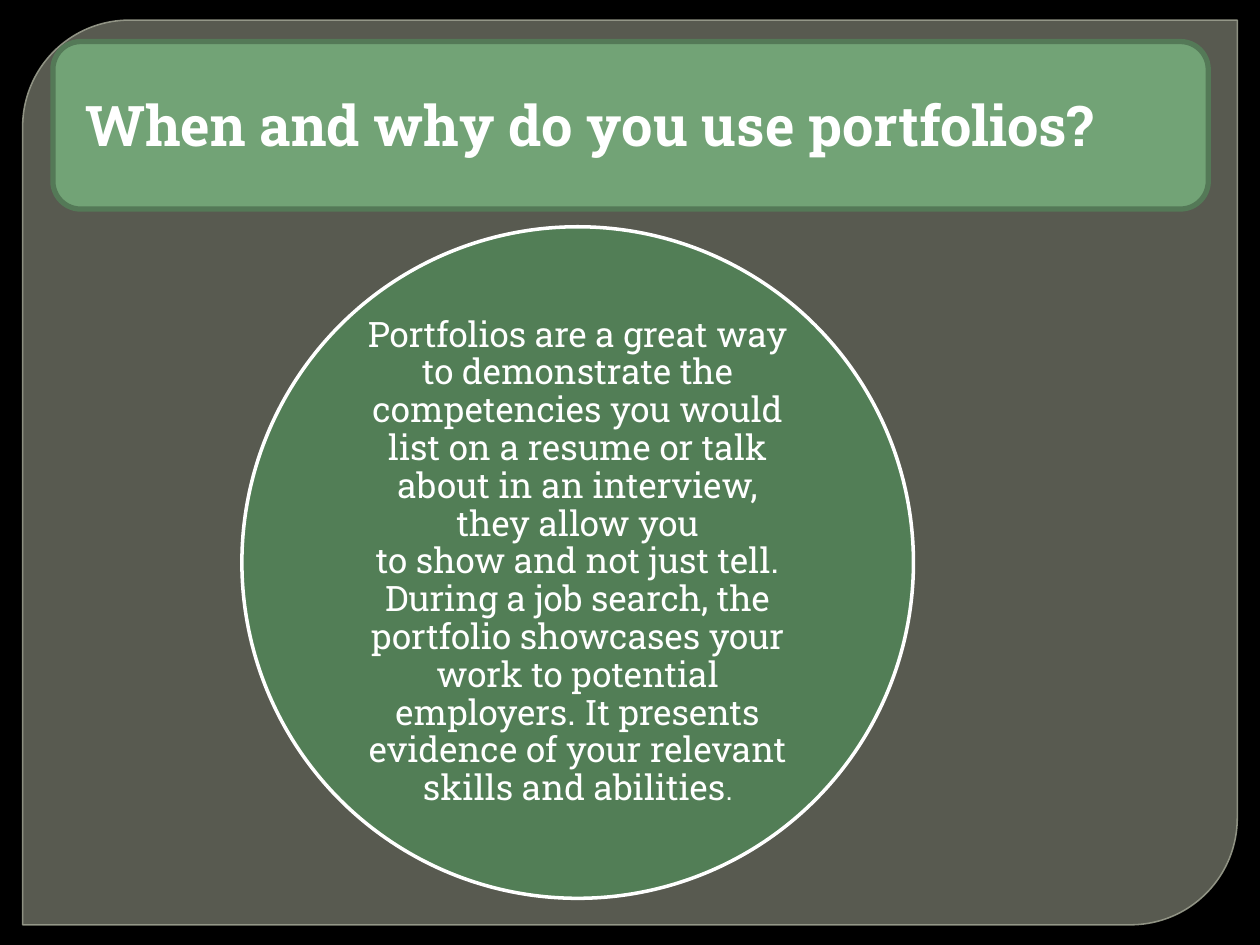
from lxml.etree import SubElement
from pptx import Presentation
from pptx.dml.color import RGBColor
from pptx.enum.shapes import MSO_SHAPE as Kind
from pptx.enum.text import MSO_ANCHOR as Anchor, PP_ALIGN as Align
from pptx.oxml.ns import qn
from pptx.util import Inches, Pt

FONT = "Roboto Slab"
TITLE = "When and why do you use portfolios?"
HARD = chr(160)
BODY = (
    "Portfolios are a great way to demonstrate the competencies you would "
    "list on a resume or talk about in an interview, they allow you "
    f"to{HARD}show{HARD}and not just{HARD}tell. During a job search, the portfolio "
    "showcases your work to potential employers. It presents evidence of "
    "your relevant skills and abilities"
)


def rgb(code):
    """Turn a hex string into a colour."""
    return RGBColor.from_string(code)


def fade(part, share):
    """Make a solid fill or line opaque to the given percentage."""
    tone = part._xPr.find(qn("a:solidFill"))[0]
    SubElement(tone, qn("a:alpha")).set("val", str(share * 1000))


def add_form(slide, kind, box, fill, line, width):
    """Add a filled, outlined shape without a shadow."""
    form = slide.shapes.add_shape(kind, *map(Inches, box))
    form.shadow.inherit = False
    form.fill.solid()
    form.fill.fore_color.rgb = rgb(fill)
    form.line.color.rgb = rgb(line)
    form.line.width = Pt(width)
    return form


def add_text(slide, box, runs, bold=False):
    """Add a wrapped white paragraph made of (text, size) runs."""
    frame = slide.shapes.add_textbox(*map(Inches, box)).text_frame
    frame.word_wrap = True
    para = frame.paragraphs[0]
    para.font.name = FONT
    para.font.bold = bold
    para.font.color.rgb = rgb("FFFFFF")
    for text, size in runs:
        run = para.add_run()
        run.text = text
        run.font.size = Pt(size)
    return frame


def add_panel(slide, box):
    """Place the translucent panel with two rounded corners."""
    panel = add_form(slide, Kind.ROUND_2_DIAG_RECTANGLE, box, "888B7B", "9DA090", 0.87)
    panel.adjustments[0] = 0.118
    panel.adjustments[1] = 0
    fade(panel.fill, 65)
    fade(panel.line.fill, 88)


def add_banner(slide, box):
    """Place the title banner and its heading."""
    left, top, width, height = box
    add_form(slide, Kind.ROUNDED_RECTANGLE, box, "72A376", "547957", 3)
    add_text(slide, (left + 0.16, top + 0.34, width - 0.25, 0.64), [(TITLE, 32)], True)


def add_circle(slide, box):
    """Place the circle with text over its inner square."""
    left, top, size, _ = box
    add_form(slide, Kind.OVAL, box, "527E56", "FFFFFF", 2)
    wide, high = size / 2 ** 0.5, size / 2
    inner = (left + (size - wide) / 2, top + (size - high) / 2, wide, high)
    frame = add_text(slide, inner, [(BODY, 20), (".", 16)])
    frame.vertical_anchor = Anchor.MIDDLE
    frame.margin_left = frame.margin_right = Inches(0.16)
    frame.margin_top = frame.margin_bottom = Inches(0.16)
    para = frame.paragraphs[0]
    para.alignment = Align.CENTER
    para.line_spacing = 0.9


def main():
    """Build and save the slide."""
    deck = Presentation()
    deck.slide_width, deck.slide_height = Inches(10), Inches(7.5)
    slide = deck.slides.add_slide(deck.slide_layouts[6])
    slide.background.fill.solid()
    slide.background.fill.fore_color.rgb = rgb("000000")
    add_panel(slide, (0.18, 0.16, 9.64, 7.18))
    add_circle(slide, (1.92, 1.8, 5.33, 5.33))
    add_banner(slide, (0.42, 0.33, 9.17, 1.33))
    deck.save("out.pptx")


if __name__ == "__main__":
    main()
